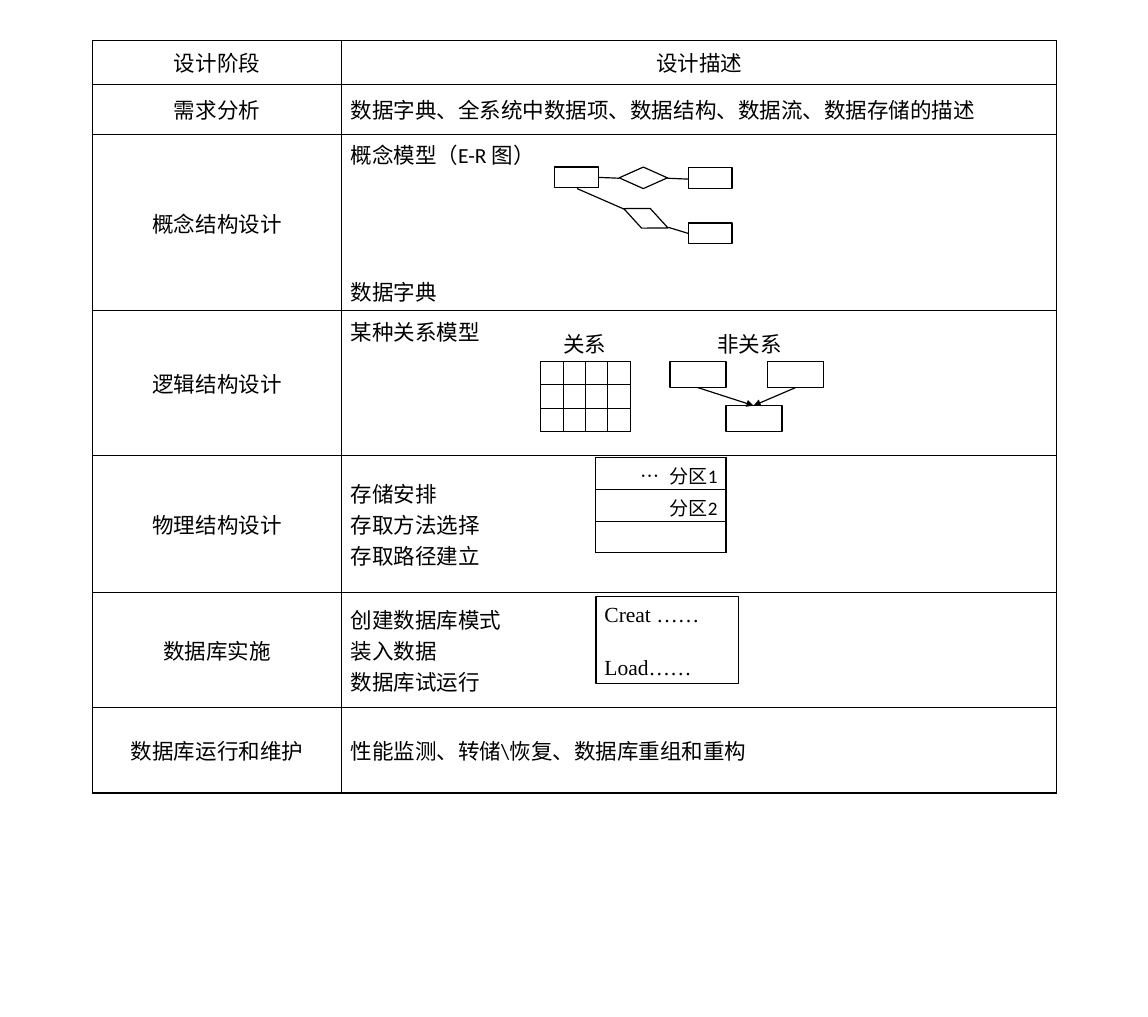
from dataclasses import dataclass

from lxml.etree import SubElement
from pptx import Presentation
from pptx.dml.color import RGBColor
from pptx.enum.shapes import MSO_CONNECTOR as CONN, MSO_SHAPE as SHAPE
from pptx.enum.text import MSO_ANCHOR as ANCHOR, PP_ALIGN as ALIGN
from pptx.oxml.ns import qn
from pptx.util import Inches, Pt

BLACK = "000000"
LEFT, CENTER, RIGHT = ALIGN.LEFT, ALIGN.CENTER, ALIGN.RIGHT
TOP, MIDDLE = ANCHOR.TOP, ANCHOR.MIDDLE


@dataclass
class Text:
    lines: tuple[str, ...] = ()
    align: ALIGN = LEFT
    anchor: ANCHOR = TOP
    size: float = 18
    font: str = "Calibri"
    gap: float = 0


@dataclass
class Grid:
    x: float
    y: float
    cols: list[float]
    rows: list[float]
    cells: list[list[Text]]
    bottom: float = 0.05


@dataclass
class Node:
    x: float
    y: float
    w: float
    h: float
    kind: SHAPE = SHAPE.RECTANGLE
    turn: float = 0
    text: Text | None = None


@dataclass
class Link:
    x1: float
    y1: float
    x2: float
    y2: float
    arrow: bool = False


def rgb(color: str) -> RGBColor:
    return RGBColor.from_string(color)


def set_all(obj, values: dict) -> None:
    for name, value in values.items():
        setattr(obj, name, value)


def write(tf, text: Text) -> None:
    for i, line in enumerate(text.lines):
        p = tf.add_paragraph() if i else tf.paragraphs[0]
        set_all(p, {"alignment": text.align, "space_before": Pt(text.gap if i else 0)})
        r = p.add_run()
        r.text = line
        set_all(r.font, {"size": Pt(text.size), "name": text.font, "bold": False})
        r.font.color.rgb = rgb(BLACK)


def add_borders(cell) -> None:
    tc_pr = cell._tc.get_or_add_tcPr()
    for side in ("lnL", "lnR", "lnT", "lnB"):
        ln = SubElement(tc_pr, qn(f"a:{side}"), w=str(Pt(1)))
        SubElement(SubElement(ln, qn("a:solidFill")), qn("a:srgbClr"), val=BLACK)


def draw_grid(s, grid: Grid) -> None:
    table = s.shapes.add_table(
        len(grid.rows), len(grid.cols), Inches(grid.x), Inches(grid.y),
        Inches(sum(grid.cols)), Inches(sum(grid.rows))).table
    set_all(table, {"first_row": False, "horz_banding": False})
    for column, width in zip(table.columns, grid.cols):
        column.width = Inches(width)
    for row, height, texts in zip(table.rows, grid.rows, grid.cells):
        row.height = Inches(height)
        for cell, text in zip(row.cells, texts):
            set_all(cell, {"vertical_anchor": text.anchor,
                           "margin_bottom": Inches(grid.bottom)})
            add_borders(cell)
            cell.fill.background()
            write(cell.text_frame, text)
            if not text.lines:
                p = cell.text_frame.paragraphs[0]
                SubElement(p._p, qn("a:endParaRPr"), sz="800")


def draw_node(s, node: Node) -> None:
    sp = s.shapes.add_shape(node.kind, Inches(node.x), Inches(node.y),
                            Inches(node.w), Inches(node.h))
    sp.rotation = node.turn
    sp.shadow.inherit = False
    sp.fill.background()
    sp.line.color.rgb = rgb(BLACK)
    sp.line.width = Pt(1)
    if node.text:
        set_all(sp.text_frame, {"word_wrap": True, "vertical_anchor": node.text.anchor})
        write(sp.text_frame, node.text)


def draw_link(s, link: Link) -> None:
    line = s.shapes.add_connector(CONN.STRAIGHT, Inches(link.x1), Inches(link.y1),
                                  Inches(link.x2), Inches(link.y2))
    line.line.color.rgb = rgb(BLACK)
    line.line.width = Pt(1)
    if link.arrow:
        SubElement(line.line._get_or_add_ln(), qn("a:tailEnd"), type="triangle")
    SubElement(line._element.spPr, qn("a:effectLst"))


def draw_label(s, x: float, y: float, w: float, text: str) -> None:
    tf = s.shapes.add_textbox(Inches(x), Inches(y), Inches(w), Inches(0.4)).text_frame
    tf.word_wrap = True
    write(tf, Text((text,)))


def stage(name: str, *lines: str, align=LEFT, anchor=MIDDLE, gap=0) -> list[Text]:
    return [Text((name,), CENTER, MIDDLE), Text(lines, align, anchor, gap=gap)]


STAGES = Grid(1.07, 0.47, [2.9, 8.3], [0.51, 0.58, 2.05, 1.68, 1.59, 1.34, 0.99], [
    stage("设计阶段", "设计描述", align=CENTER),
    stage("需求分析", "数据字典、全系统中数据项、数据结构、数据流、数据存储的描述"),
    stage("概念结构设计", "概念模型（E-R 图）", "数据字典", gap=88),
    stage("逻辑结构设计", "某种关系模型", anchor=TOP),
    stage("物理结构设计", "存储安排", "存取方法选择", "存取路径建立"),
    stage("数据库实施", "创建数据库模式", "装入数据", "数据库试运行"),
    stage("数据库运行和维护", "性能监测、转储\\恢复、数据库重组和重构"),
])
RELATION = Grid(6.28, 4.2, [0.26] * 4, [0.27] * 3, [[Text()] * 4] * 3)
PARTITIONS = Grid(6.92, 5.31, [1.51], [0.37] * 3, [
    [Text(("…\u2002分区1",), RIGHT, size=16)],
    [Text(("分区2",), RIGHT, size=16)],
    [Text()],
], bottom=0)

ENTITIES = [Node(x, y, 0.51, 0.24) for x, y in ((6.44, 1.94), (7.99, 1.95), (7.99, 2.59))]
RELATIONSHIPS = [Node(x, y, 0.56, 0.25, SHAPE.DIAMOND, turn)
                 for x, y, turn in ((7.19, 1.94, 0), (7.22, 2.41, 23.6))]
RECORDS = [Node(x, y, 0.65, 0.3) for x, y in ((7.78, 4.2), (8.91, 4.2), (8.43, 4.71))]
COMMANDS = Node(6.92, 6.93, 1.66, 1.01, text=Text(
    ("Creat ……", "Load……"), font="Times New Roman", gap=23))
LINKS = [
    Link(6.95, 2.06, 7.19, 2.07),
    Link(7.75, 2.07, 7.99, 2.08),
    Link(6.7, 2.19, 7.25, 2.43),
    Link(7.76, 2.64, 7.99, 2.71),
    Link(8.1, 4.5, 8.75, 4.71, arrow=True),
    Link(9.24, 4.5, 8.75, 4.71, arrow=True),
]

prs = Presentation()
set_all(prs, {"slide_width": Inches(13.33), "slide_height": Inches(11.81)})
s = prs.slides.add_slide(prs.slide_layouts[6])
for grid in (STAGES, RELATION, PARTITIONS):
    draw_grid(s, grid)
for node in (*ENTITIES, *RELATIONSHIPS, *RECORDS, COMMANDS):
    draw_node(s, node)
for link in LINKS:
    draw_link(s, link)
draw_label(s, 6.44, 3.8, 0.82, "关系")
draw_label(s, 8.23, 3.8, 1.04, "非关系")
prs.save("out.pptx")
